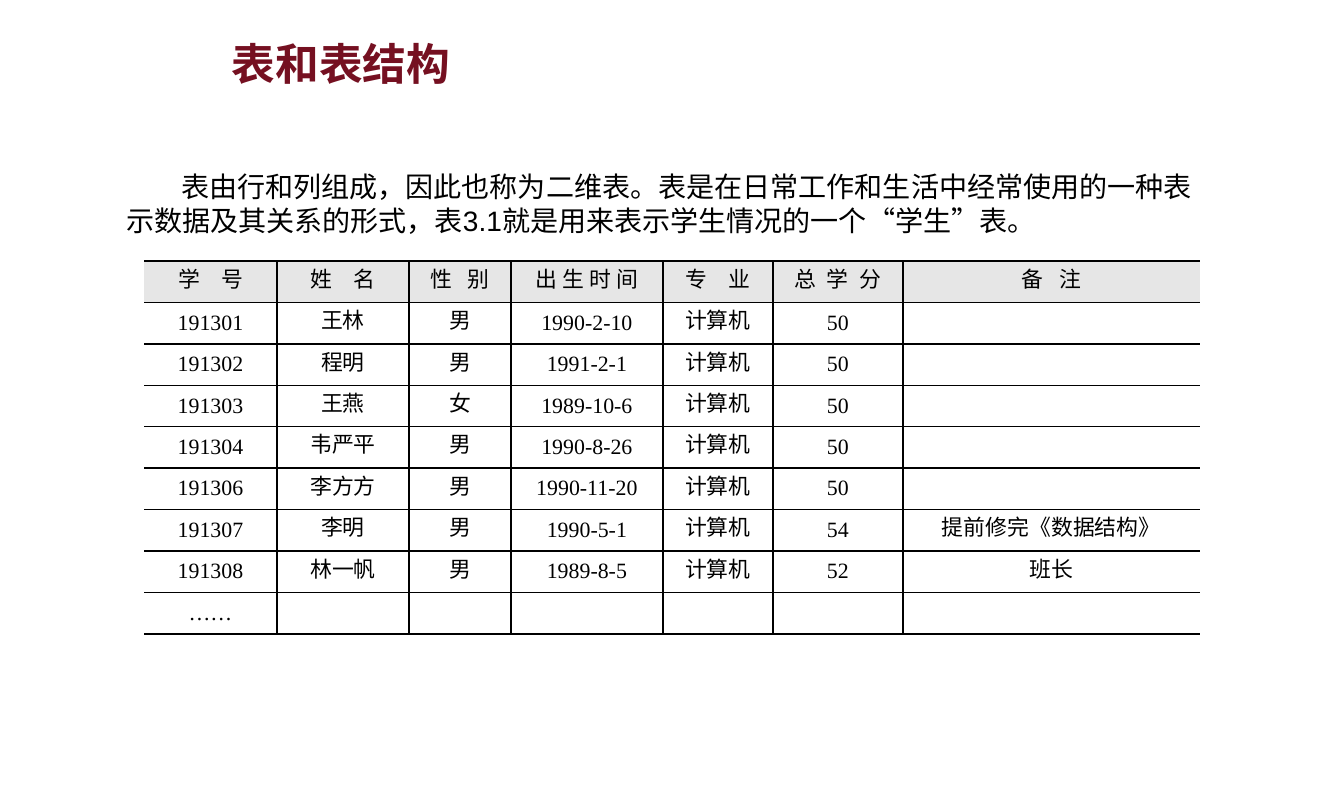
from dataclasses import dataclass
from typing import Any

from lxml.etree import SubElement
from pptx import Presentation
from pptx.dml.color import RGBColor
from pptx.enum.lang import MSO_LANGUAGE_ID
from pptx.enum.text import MSO_ANCHOR, MSO_AUTO_SIZE, PP_ALIGN
from pptx.oxml.ns import qn
from pptx.util import Emu, Pt

EMU_PER_PX = 8142
COLORS = {"title": "751021", "text": "000000", "header": "E6E6E6", "border": "000000"}


def px(length: int) -> Emu:
    return Emu(length * EMU_PER_PX)


TITLE_FONT = {"name": "Arial", "size": Pt(28), "bold": True}
BODY_FONT = {"name": "Arial", "size": Pt(18)}
CELL_FONT = {"name": "Times New Roman", "size": Pt(14)}
TITLE_FRAME = {
    "word_wrap": False, "auto_size": MSO_AUTO_SIZE.SHAPE_TO_FIT_TEXT,
    "margin_left": px(15), "margin_right": px(15),
    "margin_top": px(7), "margin_bottom": px(7),
}
BODY_FRAME = {"word_wrap": True, "auto_size": MSO_AUTO_SIZE.SHAPE_TO_FIT_TEXT}
CELL_FORMAT = {
    "margin_left": px(8), "margin_right": px(8), "margin_top": 0, "margin_bottom": 0,
    "vertical_anchor": MSO_ANCHOR.MIDDLE,
}
CELL_PARA = {"alignment": PP_ALIGN.CENTER, "line_spacing": Pt(15.1)}


@dataclass(frozen=True)
class TextBlock:
    text: str
    left: int
    top: int
    width: int
    height: int
    color: str
    font: dict[str, Any]
    frame: dict[str, Any]
    indent: int = 0


@dataclass(frozen=True)
class Column:
    heading: str
    width: int
    spacing: int = 0  # extra letter spacing, hundredths of a point


TEXT_BLOCKS = [
    TextBlock("表和表结构", 217, 30, 249, 67, "title", TITLE_FONT, TITLE_FRAME),
    TextBlock(
        "表由行和列组成，因此也称为二维表。表是在日常工作和生活中经常使用的一种表示数据"
        "及其关系的形式，表3.1就是用来表示学生情况的一个“学生”表。",
        115, 164, 1114, 80, "text", BODY_FONT, BODY_FRAME, indent=55,
    ),
]
TABLE_LEFT, TABLE_TOP, TABLE_HEIGHT = 144, 261, 373
COLUMNS = [
    Column("学 号", 133, 525),
    Column("姓 名", 132, 525),
    Column("性 别", 102, 350),
    Column("出 生 时 间", 152),
    Column("专 业", 110, 525),
    Column("总 学 分", 130, 175),
    Column("备 注", 297, 350),
]
STUDENTS = [
    ("191301", "王林", "男", "1990-2-10", "计算机", "50", ""),
    ("191302", "程明", "男", "1991-2-1", "计算机", "50", ""),
    ("191303", "王燕", "女", "1989-10-6", "计算机", "50", ""),
    ("191304", "韦严平", "男", "1990-8-26", "计算机", "50", ""),
    ("191306", "李方方", "男", "1990-11-20", "计算机", "50", ""),
    ("191307", "李明", "男", "1990-5-1", "计算机", "54", "提前修完《数据结构》"),
    ("191308", "林一帆", "男", "1989-8-5", "计算机", "52", "班长"),
    ("……", "", "", "", "", "", ""),
]


def apply_format(target: Any, values: dict[str, Any]) -> None:
    for name, value in values.items():
        setattr(target, name, value)


def add_span(para: Any, text: str, font: dict[str, Any], color: str, spacing: int = 0) -> None:
    span = para.add_run()
    span.text = text
    apply_format(span.font, font)
    span.font.language_id = MSO_LANGUAGE_ID.SIMPLIFIED_CHINESE
    span.font.color.rgb = RGBColor.from_string(COLORS[color])
    if spacing:
        span.font._element.set("spc", str(spacing))


def add_text_block(page: Any, block: TextBlock) -> None:
    box = page.shapes.add_textbox(
        px(block.left), px(block.top), px(block.width), px(block.height)
    )
    apply_format(box.text_frame, block.frame)
    para = box.text_frame.paragraphs[0]
    if block.indent:
        para._p.get_or_add_pPr().set("indent", str(px(block.indent)))
    add_span(para, block.text, block.font, block.color)


def set_borders(cell: Any, first: bool, last: bool) -> None:
    """Rule every side except the outer left and right edges of the table."""
    properties = cell._tc.get_or_add_tcPr()
    for side, ruled in {"L": not first, "R": not last, "T": True, "B": True}.items():
        line = SubElement(properties, qn(f"a:ln{side}"), w=str(Pt(1)))
        if ruled:
            fill = SubElement(line, qn("a:solidFill"))
            SubElement(fill, qn("a:srgbClr"), val=COLORS["border"])
        else:
            SubElement(line, qn("a:noFill"))


def add_student_table(page: Any) -> None:
    rows = [tuple(column.heading for column in COLUMNS), *STUDENTS]
    width = sum(column.width for column in COLUMNS)
    table = page.shapes.add_table(
        len(rows), len(COLUMNS),
        px(TABLE_LEFT), px(TABLE_TOP), px(width), px(TABLE_HEIGHT),
    ).table
    apply_format(table, {"first_row": False, "horz_banding": False})
    for index, column in enumerate(COLUMNS):
        table.columns[index].width = px(column.width)
    for row_index, values in enumerate(rows):
        table.rows[row_index].height = px(TABLE_HEIGHT) // len(rows)
        for index, text in enumerate(values):
            cell = table.cell(row_index, index)
            apply_format(cell, CELL_FORMAT)
            set_borders(cell, index == 0, index == len(COLUMNS) - 1)
            para = cell.text_frame.paragraphs[0]
            apply_format(para, CELL_PARA)
            if row_index == 0:
                cell.fill.solid()
                cell.fill.fore_color.rgb = RGBColor.from_string(COLORS["header"])
                # The last letter stays unspaced so that the heading is centred.
                add_span(para, text[:-1], CELL_FONT, "text", COLUMNS[index].spacing)
                add_span(para, text[-1], CELL_FONT, "text")
            else:
                cell.fill.background()
                if text:
                    add_span(para, text, CELL_FONT, "text")


def main() -> None:
    deck = Presentation()
    apply_format(deck, {"slide_width": px(1344), "slide_height": px(805)})
    page = deck.slides.add_slide(deck.slide_layouts[6])
    for block in TEXT_BLOCKS:
        add_text_block(page, block)
    add_student_table(page)
    deck.save("out.pptx")


if __name__ == "__main__":
    main()
